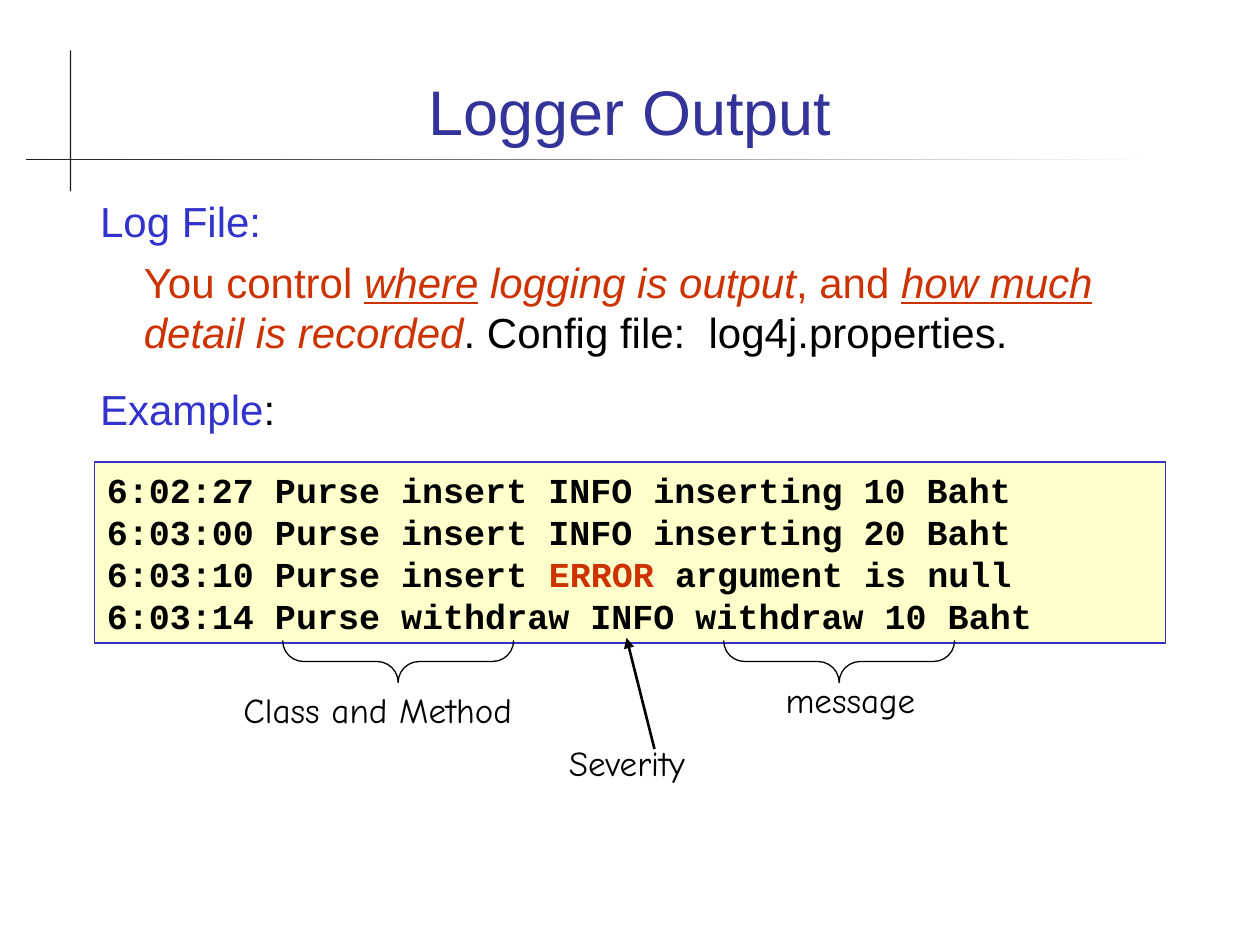
from dataclasses import dataclass

from lxml import etree
from pptx import Presentation
from pptx.dml.color import RGBColor
from pptx.enum.shapes import MSO_CONNECTOR, MSO_SHAPE
from pptx.enum.text import MSO_ANCHOR, MSO_AUTO_SIZE, PP_ALIGN
from pptx.oxml.ns import qn
from pptx.util import Pt

LEFT, CENTER = PP_ALIGN.LEFT, PP_ALIGN.CENTER
TOP, BOTTOM = MSO_ANCHOR.TOP, MSO_ANCHOR.BOTTOM
NO_AUTOFIT = MSO_AUTO_SIZE.NONE
RECTANGLE, LEFT_BRACE = MSO_SHAPE.RECTANGLE, MSO_SHAPE.LEFT_BRACE
STRAIGHT = MSO_CONNECTOR.STRAIGHT


@dataclass(frozen=True)
class Theme:
    title: RGBColor = RGBColor(0x33, 0x33, 0x99)
    heading: RGBColor = RGBColor(0x33, 0x33, 0xCC)
    accent: RGBColor = RGBColor(0xCC, 0x33, 0x00)
    text: RGBColor = RGBColor(0, 0, 0)
    rule: RGBColor = RGBColor(0x1C, 0x1C, 0x1C)
    background: RGBColor = RGBColor(0xFF, 0xFF, 0xFF)
    code_fill: RGBColor = RGBColor(0xFF, 0xFF, 0xCC)
    main_font: str = "Arial"
    code_font: str = "Courier New"
    label_font: str = "Comic Neue"
    title_size: int = 36
    body_size: int = 24
    small_size: int = 20


THEME = Theme()
TITLE_STYLE = {"name": THEME.main_font, "size": Pt(THEME.title_size)}
BODY_STYLE = {"name": THEME.main_font, "size": Pt(THEME.body_size)}
CODE_STYLE = {"name": THEME.code_font, "size": Pt(THEME.small_size), "bold": True}
LABEL_STYLE = {"name": THEME.label_font, "size": Pt(THEME.small_size)}

# A run is (text, colour, extra font values).
EMPHASIS = {"italic": True}
STRONG_EMPHASIS = {"italic": True, "underline": True}
# Each body paragraph is (first-line indent, space before, runs).
BODY = [
    (-25, 0, [("Log File:", THEME.heading, {})]),
    (0, 6, [
        ("You control ", THEME.accent, {}),
        ("where", THEME.accent, STRONG_EMPHASIS),
        (" logging is output", THEME.accent, EMPHASIS),
        (", and ", THEME.accent, {}),
        ("how much", THEME.accent, STRONG_EMPHASIS),
        (" detail is recorded", THEME.accent, EMPHASIS),
        (". Config file:  log4j.properties.", THEME.text, {}),
    ]),
    (-25, 15, [("Example", THEME.heading, {}), (":", THEME.text, {})]),
]
LOG_LINES = [
    [("6:02:27 Purse insert INFO inserting 10 Baht", THEME.text, {})],
    [("6:03:00 Purse insert INFO inserting 20 Baht", THEME.text, {})],
    [("6:03:10 Purse insert ", THEME.text, {}),
     ("ERROR", THEME.accent, {}),
     (" argument is null", THEME.text, {})],
    [("6:03:14 Purse withdraw INFO withdraw 10 Baht", THEME.text, {})],
]
LABELS = [
    ("Class and Method", (132, 390, 180, 32), LEFT),
    ("Severity", (318, 420, 102, 32), LEFT),
    ("message", (396, 384, 180, 32), CENTER),
]
BRACE_LEFTS = [215.5, 467.5]


def points(values):
    return [Pt(value) for value in values]


def place(shape, box):
    shape.left, shape.top, shape.width, shape.height = points(box)


def prepare_frame(shape, anchor=TOP):
    frame = shape.text_frame
    frame.word_wrap = True
    frame.auto_size = NO_AUTOFIT
    frame.vertical_anchor = anchor
    return frame


def write_paragraphs(frame, paragraphs, style, alignment=LEFT):
    """Fill the frame with lists of runs and return its paragraphs."""
    for number, runs in enumerate(paragraphs):
        paragraph = frame.paragraphs[0] if number == 0 else frame.add_paragraph()
        paragraph.alignment = alignment
        paragraph.line_spacing = 1.0
        paragraph.space_before = Pt(0)
        for text, color, extra in runs:
            run = paragraph.add_run()
            run.text = text
            run.font.color.rgb = color
            for name, value in {**style, **extra}.items():
                setattr(run.font, name, value)
    return frame.paragraphs


def add_rectangle(slide, box, color):
    shape = slide.shapes.add_shape(RECTANGLE, *points(box))
    shape.shadow.inherit = False
    shape.fill.solid()
    shape.fill.fore_color.rgb = color
    shape.line.fill.background()
    return shape


def add_title_rules(slide):
    add_rectangle(slide, (40, 28.8, 0.72, 80.6), THEME.rule)
    fading = add_rectangle(slide, (15, 90.8, 645.8, 0.72), THEME.rule)
    fading.fill.gradient()
    fading.fill.gradient_angle = 0
    for stop, color in zip(fading.fill.gradient_stops, (THEME.rule, THEME.background)):
        stop.color.rgb = color


def fill_title(slide):
    title = slide.shapes.title
    place(title, (48, 20, 624, 68.5))
    frame = prepare_frame(title, BOTTOM)
    write_paragraphs(frame, [[("Logger Output", THEME.title, {})]], TITLE_STYLE, CENTER)


def fill_body(slide):
    body = slide.placeholders[1]
    place(body, (48, 108, 624, 150))
    paragraphs = write_paragraphs(
        prepare_frame(body), [runs for _, _, runs in BODY], BODY_STYLE)
    for paragraph, (indent, space_before, _) in zip(paragraphs, BODY):
        paragraph.space_before = Pt(space_before)
        properties = paragraph._p.get_or_add_pPr()
        properties.set("marL", str(Pt(27)))
        properties.set("indent", str(Pt(indent)))
        etree.SubElement(properties, qn("a:buNone"))


def add_log_box(slide):
    box = add_rectangle(slide, (54, 264, 612, 103.5), THEME.code_fill)
    box.line.color.rgb = THEME.heading
    box.line.width = Pt(0.75)
    write_paragraphs(prepare_frame(box), LOG_LINES, CODE_STYLE)


def add_brace(slide, left):
    """Add a brace that opens upward, under a part of the log line."""
    brace = slide.shapes.add_shape(LEFT_BRACE, *points((left, 312, 24, 132)))
    brace.rotation = 270
    brace.adjustments[0] = 0.5
    brace.shadow.inherit = False
    brace.fill.background()
    brace.line.color.rgb = THEME.text
    brace.line.width = Pt(0.75)


def add_label(slide, text, box, alignment):
    label = slide.shapes.add_textbox(*points(box))
    write_paragraphs(prepare_frame(label), [[(text, THEME.text, {})]], LABEL_STYLE, alignment)


def add_arrow(slide, start, end):
    arrow = slide.shapes.add_connector(STRAIGHT, *points(start + end))
    arrow.line.color.rgb = THEME.text
    arrow.line.width = Pt(1.5)
    etree.SubElement(arrow.line._get_or_add_ln(), qn("a:tailEnd"), type="triangle")
    etree.SubElement(arrow._element.spPr, qn("a:effectLst"))


def main():
    presentation = Presentation()
    presentation.slide_width, presentation.slide_height = Pt(720), Pt(540)
    slide = presentation.slides.add_slide(presentation.slide_layouts[1])
    add_title_rules(slide)
    fill_title(slide)
    fill_body(slide)
    add_log_box(slide)
    for left in BRACE_LEFTS:
        add_brace(slide, left)
    for text, box, alignment in LABELS:
        add_label(slide, text, box, alignment)
    add_arrow(slide, (374, 428), (358, 364.5))
    presentation.save("out.pptx")


if __name__ == "__main__":
    main()
